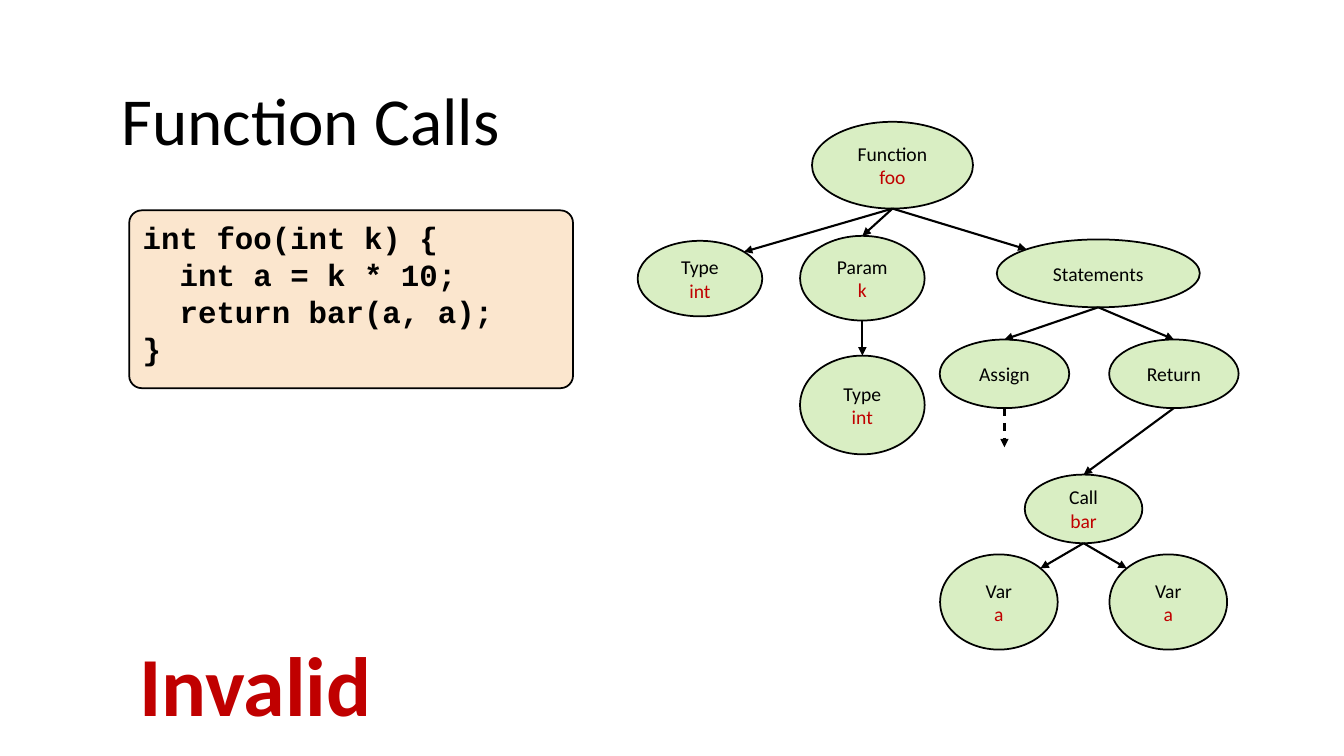
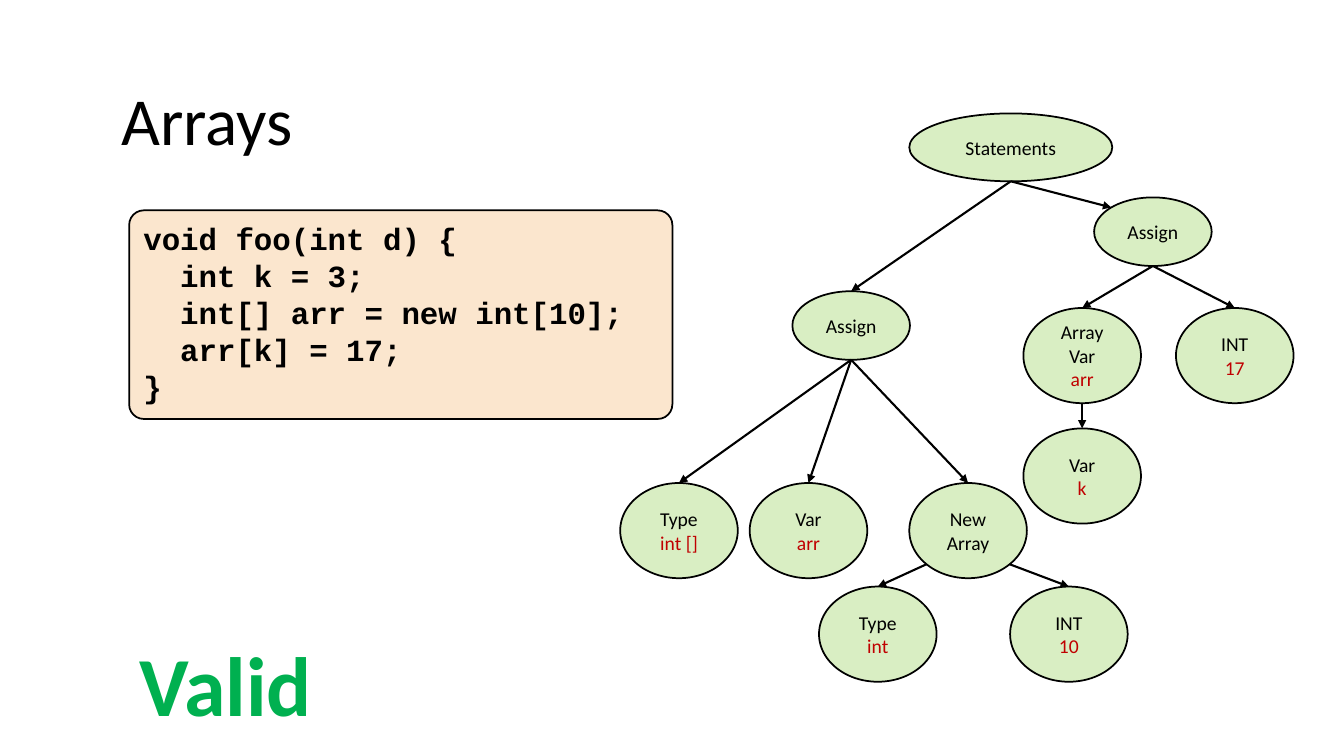
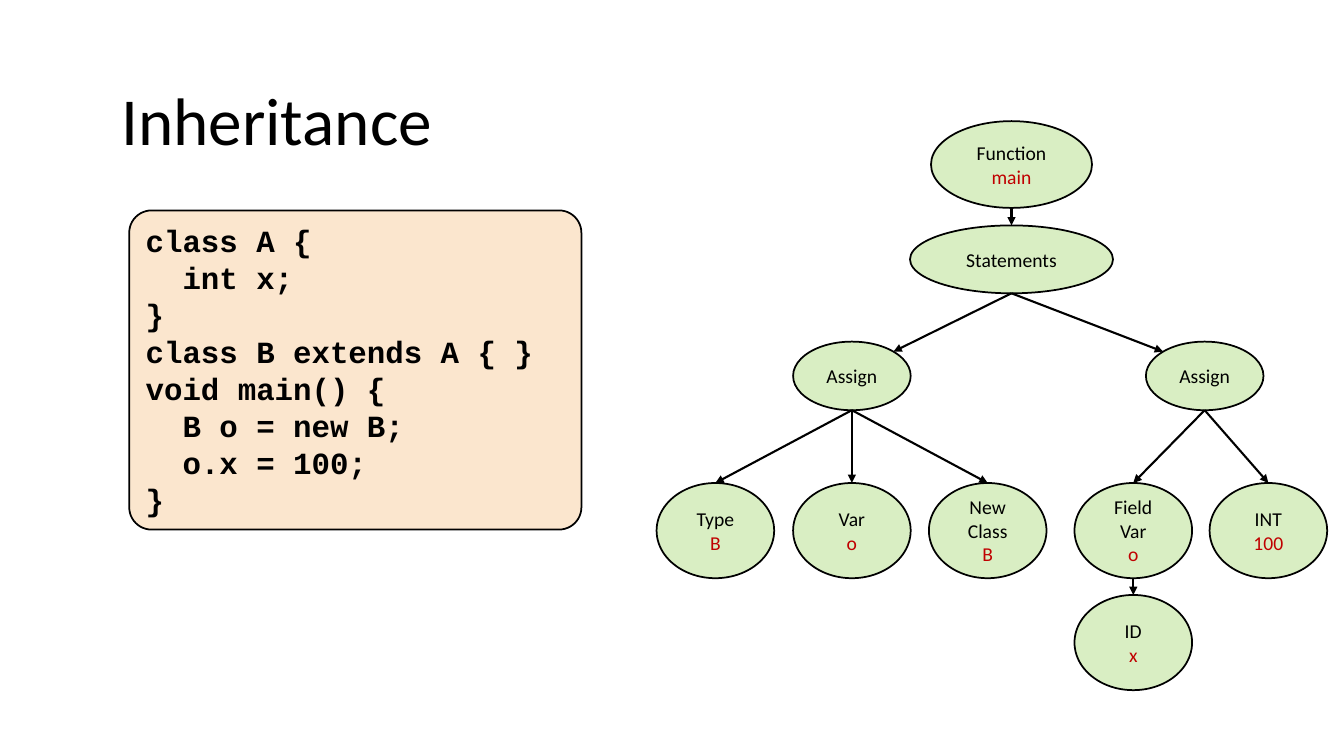
from math import sqrt

from lxml import etree
from pptx import Presentation
from pptx.dml.color import RGBColor
from pptx.enum import dml, shapes, text
from pptx.oxml import ns
from pptx.util import Pt

# Shared look
BLACK = RGBColor(0x00, 0x00, 0x00)
RED = RGBColor(0xC0, 0x00, 0x00)
GREEN = RGBColor(0x00, 0xB0, 0x50)
LEAF = RGBColor(0x92, 0xD0, 0x50)
CREAM = RGBColor(0xFB, 0xE6, 0xCE)
SANS, MONO = "Calibri", "Courier New"
LEFT = 92.3

# Node sizes: width, height
ROUND, OVAL = (84, 68), (84, 49)
WIDE, HEAD = (145, 48.5), (115, 62)
STEP = (92.5, 49)

# Points on an ellipse, in half widths and half heights from its centre
DIAG = 1 / sqrt(2)
SITES = {"top": (0, -1), "bottom": (0, 1),
         "top left": (-DIAG, -DIAG), "top right": (DIAG, -DIAG),
         "low left": (-DIAG, DIAG), "low right": (DIAG, DIAG)}

# Each tree: nodes as key: (size, centre x, top, label, value),
# links as (from, to, end site, start site); the sites may be left out
CALL_NODES = {
    "func": (HEAD, 637.5, 87, "Function", "foo"),
    "type": ((89, 54), 500, 172, "Type", "int"),
    "param": ((89, 60.5), 616, 168.5, "Param", "k"),
    "kind": ((89, 70.5), 616, 254, "Type", "int"),
    "body": (WIDE, 784.5, 171, "Statements", ""),
    "assign": (STEP, 717.5, 242.5, "Assign", ""),
    "return": (STEP, 838.5, 242.5, "Return", ""),
    "call": (OVAL, 774, 339, "Call", "bar"),
    "arg 1": (ROUND, 713.5, 396, "Var", "a"),
    "arg 2": (ROUND, 834.5, 396, "Var", "a"),
}
CALL_LINKS = [
    ("func", "type", "top right"), ("func", "param"),
    ("func", "body", "top left"), ("param", "kind"),
    ("body", "assign"), ("body", "return"), ("return", "call"),
    ("call", "arg 1", "top right"), ("call", "arg 2", "top left"),
]
ARRAY_NODES = {
    "body": (WIDE, 722, 81, "Statements", ""),
    "make": (OVAL, 608, 208, "Assign", ""),
    "store": (OVAL, 823.5, 141, "Assign", ""),
    "type": (ROUND, 485, 345, "Type", "int []"),
    "name": (ROUND, 577.5, 345, "Var", "arr"),
    "new": (ROUND, 691.5, 345, "New\nArray", ""),
    "item": (ROUND, 627, 419, "Type", "int"),
    "size": (ROUND, 763.5, 419, "INT", "10"),
    "slot": (ROUND, 773, 220, "Array\nVar", "arr"),
    "value": (ROUND, 882, 220, "INT", "17"),
    "index": (ROUND, 773, 306, "Var", "k"),
}
ARRAY_LINKS = [
    ("body", "make"), ("body", "store", "top left"),
    ("make", "type"), ("make", "name"), ("make", "new"),
    ("new", "item", "top", "low left"), ("new", "size", "top", "low right"),
    ("store", "slot"), ("store", "value"), ("slot", "index"),
]
CLASS_NODES = {
    "func": (HEAD, 722.5, 86.5, "Function", "main"),
    "body": (WIDE, 722.5, 161, "Statements", ""),
    "make": (OVAL, 608.5, 244, "Assign", ""),
    "store": (OVAL, 860.5, 244, "Assign", ""),
    "type": (ROUND, 511, 345, "Type", "B"),
    "name": (ROUND, 608.5, 345, "Var", "o"),
    "new": (ROUND, 705.5, 345, "New\nClass", "B"),
    "field": (ROUND, 809.5, 345, "Field\nVar", "o"),
    "value": (ROUND, 906, 345, "INT", "100"),
    "id": (ROUND, 809.5, 425, "ID", "x"),
}
CLASS_LINKS = [
    ("func", "body"),
    ("body", "make", "top right"), ("body", "store", "top left"),
    ("make", "type"), ("make", "name"), ("make", "new"),
    ("store", "field"), ("store", "value"), ("field", "id"),
]

# Code listings
CALL_CODE = """int foo(int k) {
  int a = k * 10;
  return bar(a, a);
}"""
ARRAY_CODE = """void foo(int d) {
  int k = 3;
  int[] arr = new int[10];
  arr[k] = 17;
}"""
CLASS_CODE = """class A {
  int x;
}
class B extends A { }
void main() {
  B o = new B;
  o.x = 100;
}"""


def style(part, size, color=BLACK, face=SANS, bold=False):
    for run in part.runs:
        font = run.font
        font.name, font.size, font.bold = face, Pt(size), bold
        font.color.rgb = color


def add_box(slide, kind, area, fill):
    box = slide.shapes.add_shape(kind, *map(Pt, area))
    box.shadow.inherit = False
    box.fill.solid()
    box.fill.fore_color.rgb = fill
    box.line.color.rgb = BLACK
    box.line.width = Pt(1.25)
    return box


def set_layout(show):
    layout = show.slide_layouts.get_by_name("Title Only")
    title = layout.placeholders[0]
    title.left, title.top = Pt(79.5), Pt(52.5)
    title.width, title.height = Pt(798.5), Pt(65.5)
    title.text_frame.vertical_anchor = text.MSO_ANCHOR.TOP
    return layout


def add_page(show, layout, words):
    slide = show.slides.add_slide(layout)
    frame = slide.shapes.title.text_frame
    frame.text = words
    frame.paragraphs[0].alignment = text.PP_ALIGN.LEFT
    style(frame.paragraphs[0], 48)
    return slide


def add_code(slide, code, width, height):
    box = add_box(slide, shapes.MSO_SHAPE.ROUNDED_RECTANGLE,
                  (LEFT, 150.3, width, height), CREAM)
    box.adjustments[0] = 0.07
    frame = box.text_frame
    frame.vertical_anchor = text.MSO_ANCHOR.TOP
    frame.text = code
    for part in frame.paragraphs:
        part.alignment = text.PP_ALIGN.LEFT
        style(part, 22, face=MONO, bold=True)


def add_node(slide, size, mid, top, label, value):
    width, height = size
    node = add_box(slide, shapes.MSO_SHAPE.OVAL,
                   (mid - width / 2, top, width, height), LEAF)
    # Light tint through transparency
    tint = node.fill._xPr.find(".//" + ns.qn("a:srgbClr"))
    etree.SubElement(tint, ns.qn("a:alpha"), val="34000")
    frame = node.text_frame
    frame.margin_left = frame.margin_right = 0
    frame.vertical_anchor = text.MSO_ANCHOR.MIDDLE
    frame.text = f"{label}\n{value}" if value else label
    for part in frame.paragraphs:
        part.alignment = text.PP_ALIGN.CENTER
        style(part, 14)
    if value:
        style(frame.paragraphs[-1], 14, RED)
    return node


def add_arrow(slide, start, end, dash=False):
    arrow = slide.shapes.add_connector(shapes.MSO_CONNECTOR.STRAIGHT,
                                       *start, *end)
    line = arrow.line
    line.color.rgb = BLACK
    line.width = Pt(1.5)
    if dash:
        line.dash_style = dml.MSO_LINE.DASH
    props = arrow._element.spPr
    etree.SubElement(props.find(ns.qn("a:ln")), ns.qn("a:tailEnd"),
                     type="triangle")
    etree.SubElement(props, ns.qn("a:effectLst"))
    return arrow


def find_site(node, site):
    across, down = SITES[site]
    return (int(node.left + node.width * (1 + across) / 2),
            int(node.top + node.height * (1 + down) / 2))


def add_link(slide, start, end, to="top", out="bottom"):
    arrow = add_arrow(slide, find_site(start, out), find_site(end, to))
    if to == "top":
        arrow.end_connect(end, 0)


def add_tree(slide, nodes, links):
    drawn = {key: add_node(slide, *node) for key, node in nodes.items()}
    for start, end, *sites in links:
        add_link(slide, drawn[start], drawn[end], *sites)
    return drawn


def add_mark(slide, words, color):
    box = slide.shapes.add_textbox(Pt(LEFT), Pt(448.5), Pt(220), Pt(80))
    box.text_frame.word_wrap = True
    box.text_frame.text = words
    style(box.text_frame.paragraphs[0], 60, color, bold=True)


def main():
    show = Presentation()
    show.slide_width, show.slide_height = Pt(960), Pt(540)
    layout = set_layout(show)

    # Function calls
    slide = add_page(show, layout, "Function Calls")
    drawn = add_tree(slide, CALL_NODES, CALL_LINKS)
    left, top = find_site(drawn["assign"], "bottom")
    add_arrow(slide, (left, top), (left, top + Pt(28)), dash=True)
    add_code(slide, CALL_CODE, 317, 127)
    add_mark(slide, "Invalid", RED)

    # Arrays
    slide = add_page(show, layout, "Arrays")
    add_tree(slide, ARRAY_NODES, ARRAY_LINKS)
    add_code(slide, ARRAY_CODE, 388, 149)
    add_mark(slide, "Valid", GREEN)

    # Inheritance
    slide = add_page(show, layout, "Inheritance")
    add_tree(slide, CLASS_NODES, CLASS_LINKS)
    add_code(slide, CLASS_CODE, 323, 228)

    show.save("out.pptx")


if __name__ == "__main__":
    main()
